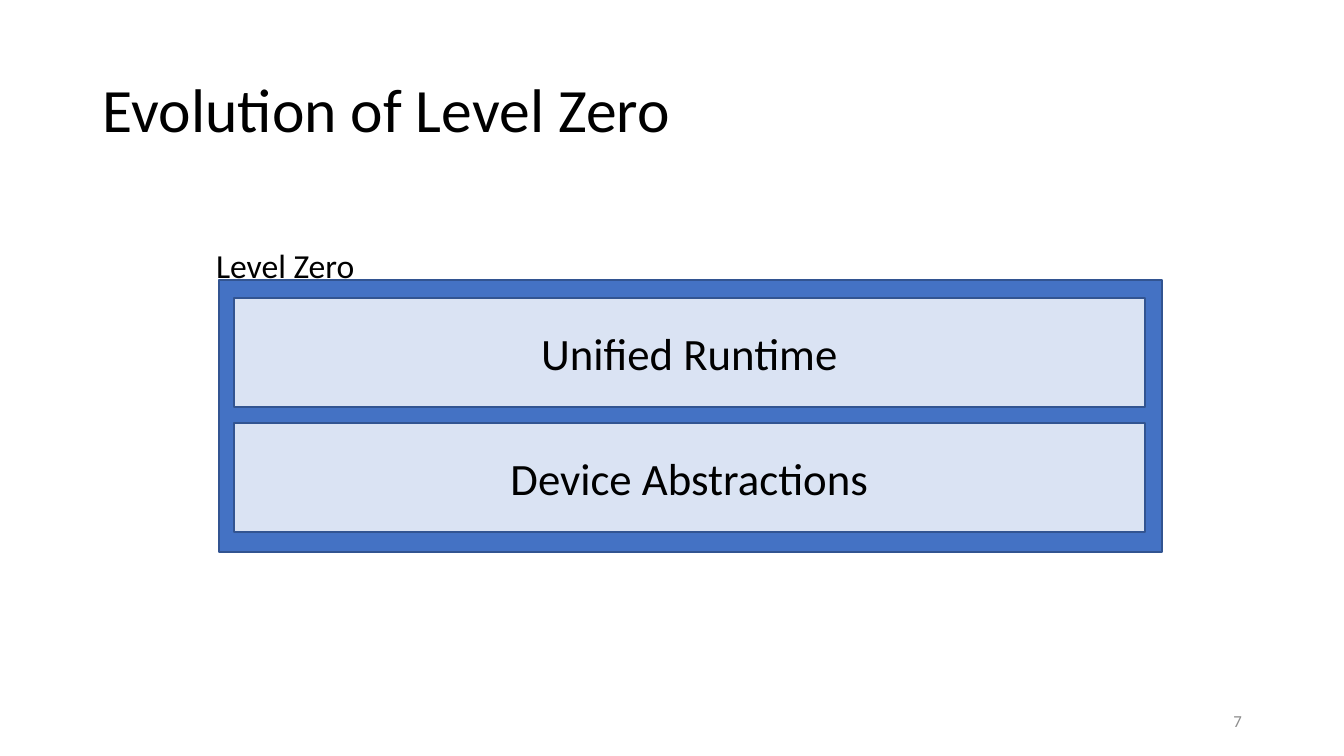
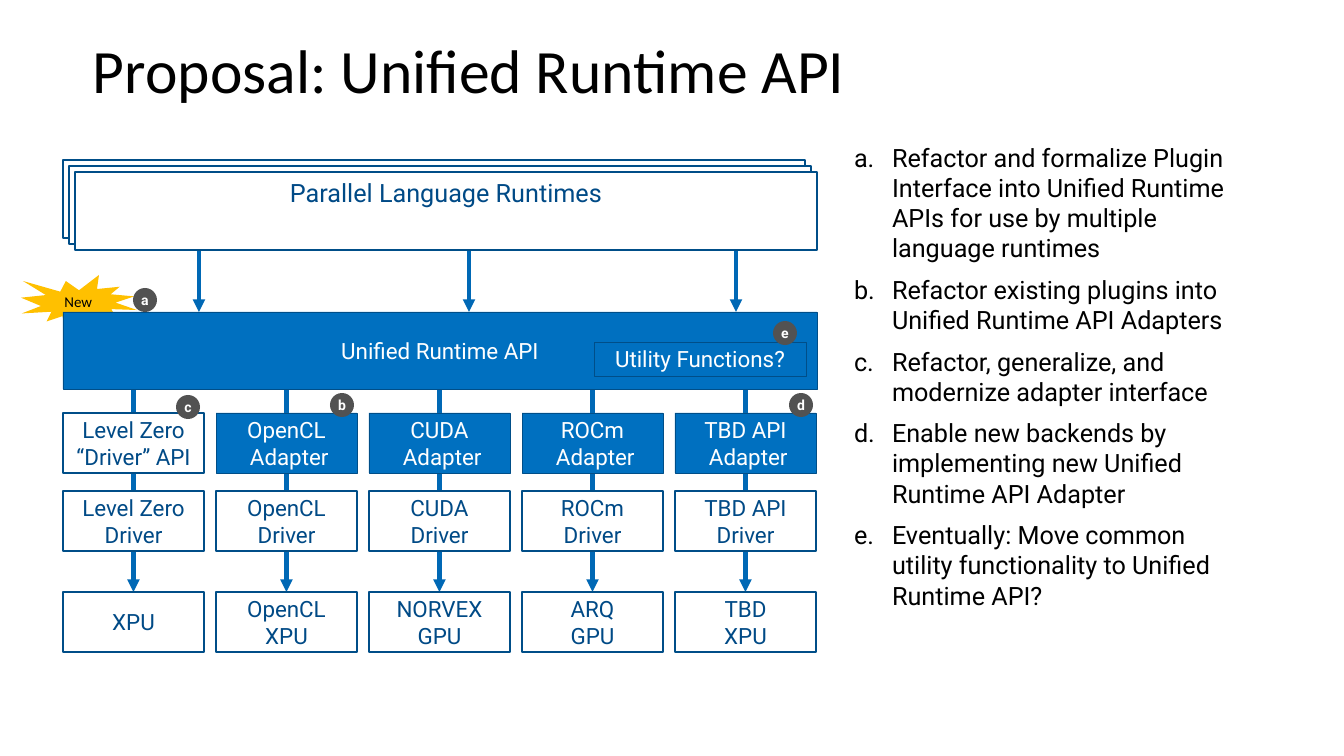
import lxml.etree
import pptx
import pptx.dml.color
import pptx.enum.shapes
import pptx.enum.text
import pptx.oxml.ns
import pptx.util

RGB = pptx.dml.color.RGBColor
BLACK = RGB(0x00, 0x00, 0x00)
WHITE = RGB(0xFF, 0xFF, 0xFF)
GREY = RGB(0x8C, 0x8C, 0x8C)
DARK = RGB(0x52, 0x52, 0x52)
BLUE = RGB(0x44, 0x72, 0xC4)
PALE = RGB(0xDA, 0xE3, 0xF3)
EDGE = RGB(0x32, 0x54, 0x91)
FILL = RGB(0x00, 0x70, 0xC0)
RIM = RGB(0x00, 0x4E, 0x88)
INK = RGB(0x00, 0x4A, 0x86)
WIRE = RGB(0x00, 0x68, 0xB5)
GOLD = RGB(0xFF, 0xC0, 0x00)

FORM = pptx.enum.shapes.MSO_SHAPE
LINK = pptx.enum.shapes.MSO_CONNECTOR
ALIGN = pptx.enum.text.PP_ALIGN
ANCHOR = pptx.enum.text.MSO_ANCHOR
SIZE = pptx.enum.text.MSO_AUTO_SIZE

WIDE, HIGH = 1344, 756
SCALE = 12192000 / WIDE


def px(*nums):
    return [pptx.util.Emu(round(num * SCALE)) for num in nums]


def tag(host, name, **pairs):
    return lxml.etree.SubElement(host, pptx.oxml.ns.qn(name), **pairs)


class Deck:
    sans = "Calibri"
    tech = "Roboto"

    def __init__(self):
        self.show = pptx.Presentation()
        self.show.slide_width, self.show.slide_height = px(WIDE, HIGH)
        self.slide = None

    def page(self, kind, text, pad=(10, 5), anchor=ANCHOR.MIDDLE):
        self.slide = self.show.slides.add_slide(self.show.slide_layouts[kind])
        title = self.slide.shapes.title
        self.place(title, 93, 40, 1159, 146)
        self.frame(title, pad, anchor)
        self.fill_in(title, text, 44, BLACK, self.sans, ALIGN.LEFT)
        title.text_frame.paragraphs[0].line_spacing = 0.9

    def place(self, shape, *spot):
        shape.left, shape.top, shape.width, shape.height = px(*spot)

    def frame(self, shape, pad, anchor):
        frame = shape.text_frame
        frame.word_wrap = True
        frame.auto_size = SIZE.NONE
        frame.vertical_anchor = anchor
        frame.margin_left = frame.margin_right = px(pad[0])[0]
        frame.margin_top = frame.margin_bottom = px(pad[1])[0]

    def style(self, run, size, color, font, bold=False):
        run.font.size = pptx.util.Pt(size)
        run.font.name = font
        run.font.color.rgb = color
        run.font.bold = bold

    def fill_in(self, shape, text, size, color, font, align, bold=False):
        para = shape.text_frame.paragraphs[0]
        para.alignment = align
        for row, line in enumerate(text.split("\n")):
            if row:
                para.add_line_break()
            run = para.add_run()
            run.text = line
            self.style(run, size, color, font, bold)

    def label(self, spot, text, size, color, align=ALIGN.LEFT, anchor=ANCHOR.TOP):
        box = self.slide.shapes.add_textbox(*px(*spot))
        self.frame(box, (10, 5), anchor)
        self.fill_in(box, text, size, color, self.sans, align)

    def shape(self, spot, fill, edge=None, weight=1, form=FORM.RECTANGLE):
        item = self.slide.shapes.add_shape(form, *px(*spot))
        item.shadow.inherit = False
        item.fill.solid()
        item.fill.fore_color.rgb = fill
        if edge is None:
            item.line.fill.background()
        else:
            item.line.color.rgb = edge
            item.line.width = pptx.util.Pt(weight)
        return item

    def center(self, item, text, size, color, font, anchor=ANCHOR.MIDDLE, bold=False):
        self.frame(item, (0, 5), anchor)
        self.fill_in(item, text, size, color, font, ALIGN.CENTER, bold)

    def panel(self, spot, text):
        item = self.shape(spot, PALE, EDGE)
        self.center(item, text, 32, BLACK, self.sans)

    def solid(self, spot, text):
        item = self.shape(spot, FILL, RIM, 0.5)
        self.center(item, text, 16, WHITE, self.tech)

    def hollow(self, spot, text="", size=16, anchor=ANCHOR.MIDDLE):
        item = self.shape(spot, WHITE, RIM, 1.75)
        if text:
            self.center(item, text, size, INK, self.tech, anchor)
        return item

    def badge(self, left, top, text):
        item = self.shape((left, top, 24, 24), DARK, form=FORM.OVAL)
        self.center(item, text, 10, WHITE, self.tech, bold=True)

    def burst(self, spot, text):
        item = self.shape(spot, GOLD, form=FORM.EXPLOSION1)
        self.center(item, text, 10.7, BLACK, self.sans)

    def arrow(self, mid, top, end):
        line = self.slide.shapes.add_connector(LINK.STRAIGHT, *px(mid, top, mid, end))
        line.line.color.rgb = WIRE
        line.line.width = pptx.util.Pt(3)
        props = line._element.spPr
        tag(props.find(pptx.oxml.ns.qn("a:ln")), "a:tailEnd", type="triangle")
        tag(props, "a:effectLst")
        return line

    def points(self, spot, items):
        body = self.slide.placeholders[1]
        self.place(body, *spot)
        body.fill.solid()
        body.fill.fore_color.rgb = WHITE
        self.frame(body, (8, 8), ANCHOR.TOP)
        frame = body.text_frame
        for row, item in enumerate(items):
            para = frame.add_paragraph() if row else frame.paragraphs[0]
            para.space_before = pptx.util.Pt(0)
            para.space_after = pptx.util.Pt(8)
            run = para.add_run()
            run.text = item
            self.style(run, 18, BLACK, self.tech)
            props = para._p.get_or_add_pPr()
            dent = px(38)[0]
            props.set("marL", str(dent))
            props.set("indent", str(-dent))
            tag(props, "a:buFont", typeface="+mj-lt")
            tag(props, "a:buAutoNum", type="alphaLcPeriod")


STACKS = [
    ("Level Zero\n“Driver” API", "Level Zero\nDriver", "XPU"),
    ("OpenCL\n Adapter", "OpenCL\nDriver", "OpenCL\nXPU"),
    ("CUDA\n Adapter", "CUDA\nDriver", "NORVEX\nGPU"),
    ("ROCm\n Adapter", "ROCm\nDriver", "ARQ\nGPU"),
    ("TBD API\n Adapter", "TBD API\nDriver", "TBD\nXPU"),
]
GOALS = [
    "Refactor and formalize Plugin Interface into Unified Runtime APIs for use by multiple language runtimes",
    "Refactor existing plugins into Unified Runtime API Adapters",
    "Refactor, generalize, and modernize adapter interface",
    "Enable new backends by implementing new Unified Runtime API Adapter",
    "Eventually: Move common utility functionality to Unified Runtime API?",
]
BADGES = [(133, 288, "a"), (330, 393, "b"), (176, 395, "c"), (789, 393, "d"), (773, 321, "e")]


def layers(deck):
    deck.page(5, "Evolution of Level Zero")
    deck.label((950, 701, 302, 40), "7", 12, GREY, ALIGN.RIGHT, ANCHOR.MIDDLE)
    deck.shape((219, 280, 943, 272), BLUE, EDGE)
    for row, text in enumerate(["Unified Runtime", "Device Abstractions"]):
        deck.panel((234, 298 + 125 * row, 911, 109), text)
    deck.label((206, 240, 188, 50), "Level Zero", 24, BLACK)


def plan(deck):
    deck.page(1, "Proposal: Unified Runtime API", (0, 0), ANCHOR.TOP)
    deck.points((846, 134, 412, 558), GOALS)
    left, step, width, height = 63, 153, 141, 60
    for mid in (199, 469, 736):
        deck.arrow(mid, 231, 312)
    lines = [deck.arrow(left + step * col + width // 2, 342, 592) for col in range(len(STACKS))]
    deck.burst((21, 275, 116, 57), "New")
    deck.solid((63, 312, 754, 77), "Unified Runtime API")
    for row, text in enumerate(["", "", "Parallel Language Runtimes"]):
        deck.hollow((63 + 6 * row, 160 + 6 * row, 742, 78), text, 18, ANCHOR.TOP)
    for col, (top, core, base) in enumerate(STACKS):
        side = left + step * col
        draw = deck.solid if col else deck.hollow
        draw((side, 413, width, height), top)
        deck.hollow((side, 491, width, height), core)
        unit = deck.hollow((side, 592, width, height), base)
        lines[col].begin_x = lines[col].end_x = unit.left + unit.width // 2
        lines[col].end_connect(unit, 0)
    deck.solid((594, 342, 212, 34), "Utility Functions?")
    for badge in BADGES:
        deck.badge(*badge)


def main():
    deck = Deck()
    layers(deck)
    plan(deck)
    deck.show.save("out.pptx")


if __name__ == "__main__":
    main()
